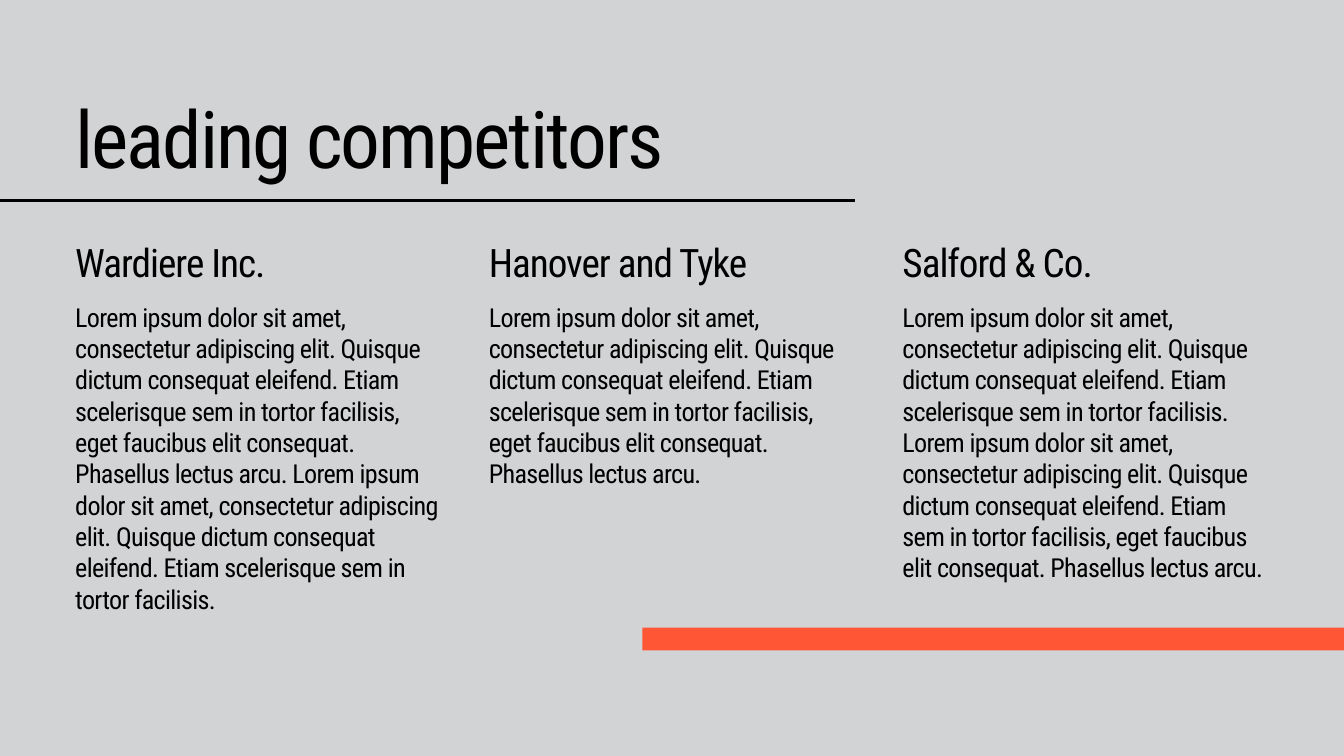
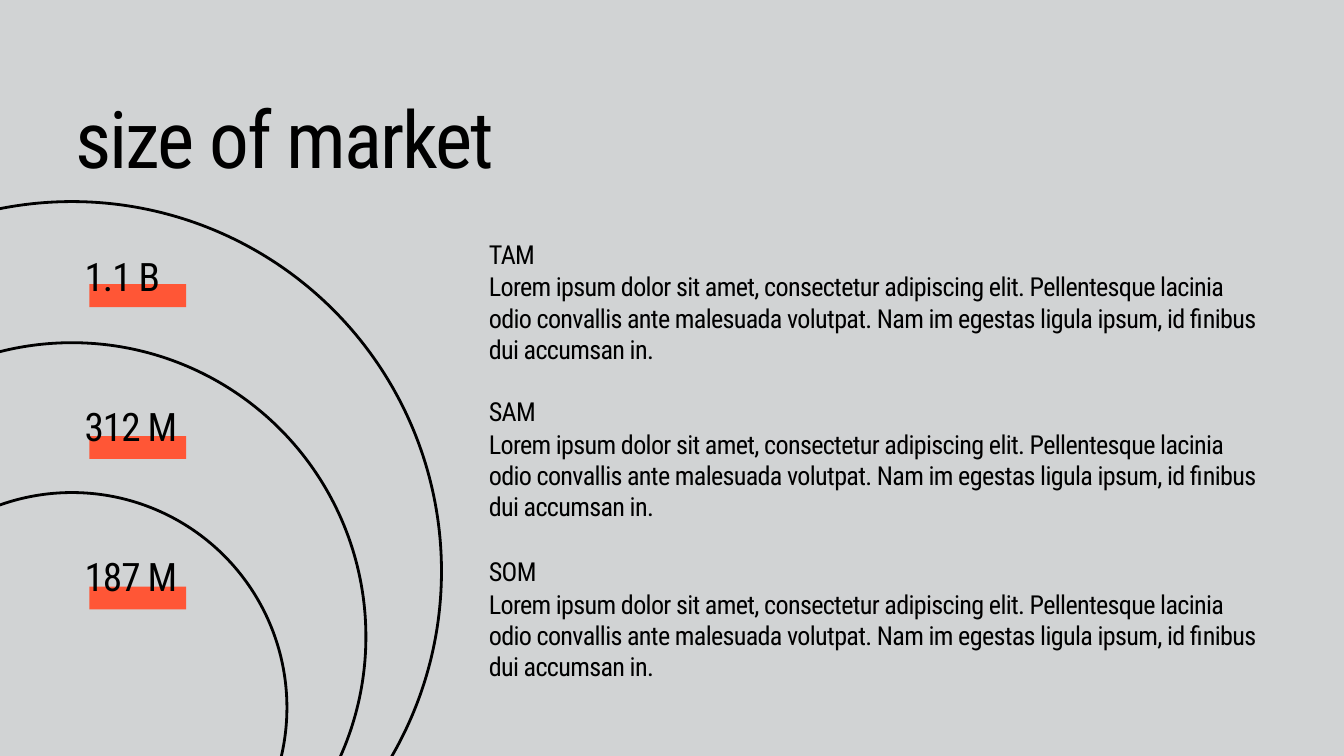
"""Build two slides on competitors and market size."""
from lxml import etree
from pptx import Presentation
from pptx.dml.color import RGBColor
from pptx.enum.shapes import MSO_CONNECTOR as Connector, MSO_SHAPE as Shape
from pptx.enum.text import MSO_ANCHOR as Anchor, MSO_AUTO_SIZE as AutoSize, PP_ALIGN as Align
from pptx.oxml.ns import qn
from pptx.util import Inches, Pt

COLORS = {"background": "D1D3D4", "ink": "000000", "accent": "FF5636"}
FONT = "Roboto Condensed"

# Size, line spacing and letter spacing, in points
STYLES = {
    "title": (85, 85, -2.1),
    "heading": (42, 50.4, -1.1),
    "figure": (42, 42, -1.1),
    "body": (28, 33.6, -0.7),
}

INTRO = "Lorem ipsum dolor sit amet, consectetur adipiscing elit."
LOREM = f"{INTRO} Quisque dictum consequat eleifend. Etiam"
ENDING = "sem in tortor facilisis, eget faucibus elit consequat. Phasellus lectus arcu."
SHORT_ENDING = "scelerisque sem in tortor facilisis."

COMPETITORS = [
    ("Wardiere Inc.", f"{LOREM} scelerisque {ENDING} {LOREM} {SHORT_ENDING}", 3.67),
    ("Hanover and Tyke", f"{LOREM} scelerisque {ENDING}", 2.29),
    ("Salford & Co.", f"{LOREM} {SHORT_ENDING} {LOREM} {ENDING}", 3.67),
]

MARKET_TEXT = (
    f"{INTRO} Pellentesque lacinia odio convallis ante malesuada volutpat. "
    "Nam im egestas ligula ipsum, id finibus dui accumsan in."
)
# Name, figure, text top, figure top, marker top, ring top, ring diameter
MARKETS = [
    ("TAM", "1.1 B", 3.55, 3.87, 4.23, 3, 11),
    ("SAM", "312 M", 5.89, 6.1, 6.49, 5.1, 8.75),
    ("SOM", "187 M", 8.27, 8.34, 8.73, 7.33, 6.4),
]

MARGIN = 1.12
CONTENT_WIDTH = 17.75
COLUMN_WIDTH = 5.44
WIDE_WIDTH = 11.6
COLUMN_STEP = (CONTENT_WIDTH - COLUMN_WIDTH) / (len(COMPETITORS) - 1)
COLUMN_LEFTS = [MARGIN + index * COLUMN_STEP for index in range(len(COMPETITORS))]
RING_CENTER = 1.07
BAR_HEIGHT = 0.34
LINE_WIDTH = 3


def color(name):
    return RGBColor.from_string(COLORS[name])


def write(box, text, style):
    size, leading, tracking = STYLES[style]
    frame = box.text_frame
    frame.margin_left = frame.margin_top = frame.margin_right = frame.margin_bottom = 0
    frame.word_wrap = True
    frame.auto_size = AutoSize.SHAPE_TO_FIT_TEXT
    frame.vertical_anchor = Anchor.TOP
    para = frame.paragraphs[0]
    para.alignment = Align.LEFT
    para.line_spacing = Pt(leading)
    para.font.name = FONT
    para.font.size = Pt(size)
    para.font.color.rgb = color("ink")
    span = para.add_run()
    span.text = text
    span._r.get_or_add_rPr().set("spc", str(round(tracking * 100)))


def add_text(page, text, style, left, top, width, height):
    box = page.shapes.add_textbox(Inches(left), Inches(top), Inches(width), Inches(height))
    write(box, text, style)


def add_bar(page, left, top, width):
    bar = page.shapes.add_shape(
        Shape.RECTANGLE, Inches(left), Inches(top), Inches(width), Inches(BAR_HEIGHT))
    bar.shadow.inherit = False
    bar.fill.solid()
    bar.fill.fore_color.rgb = color("accent")
    bar.line.fill.background()


def add_ring(page, top, diameter):
    ring = page.shapes.add_shape(
        Shape.OVAL, Inches(RING_CENTER - diameter / 2), Inches(top),
        Inches(diameter), Inches(diameter))
    ring.shadow.inherit = False
    ring.fill.background()
    ring.line.color.rgb = color("ink")
    ring.line.width = Pt(LINE_WIDTH)


def add_rule(page, start, end, top):
    rule = page.shapes.add_connector(
        Connector.STRAIGHT, Inches(start), Inches(top), Inches(end), Inches(top))
    rule.line.color.rgb = color("ink")
    rule.line.width = Pt(LINE_WIDTH)
    etree.SubElement(rule._element.spPr, qn("a:effectLst"))


def add_page(deck, heading):
    page = deck.slides.add_slide(deck.slide_layouts[5])
    title = page.shapes.title
    title.left, title.top = Inches(MARGIN), Inches(1.56)
    title.width, title.height = Inches(WIDE_WIDTH), Inches(1.23)
    write(title, heading, "title")
    return page


def add_competitors(deck):
    page = add_page(deck, "leading competitors")
    add_rule(page, -0.36, MARGIN + WIDE_WIDTH, 2.98)
    for left, (name, text, height) in zip(COLUMN_LEFTS, COMPETITORS):
        add_text(page, name, "heading", left, 3.55, COLUMN_WIDTH, 0.7)
        add_text(page, text, "body", left, 4.48, COLUMN_WIDTH, height)
    add_bar(page, 9.56, 9.34, 10.52)


def add_market(deck):
    page = add_page(deck, "size of market")
    left = COLUMN_LEFTS[1]
    for name, figure, text_top, figure_top, marker_top, ring_top, diameter in MARKETS:
        add_bar(page, 1.33, marker_top, 1.44)
        add_ring(page, ring_top, diameter)
        add_text(page, figure, "figure", 1.26, figure_top, 3.01, 0.62)
        add_text(page, name, "body", left, text_top, 7.12, 0.46)
        add_text(page, MARKET_TEXT, "body", left, text_top + 0.48, WIDE_WIDTH, 0.92)


def main():
    deck = Presentation()
    deck.slide_width, deck.slide_height = Inches(20), Inches(11.25)
    backdrop = deck.slide_master.background.fill
    backdrop.solid()
    backdrop.fore_color.rgb = color("background")
    add_competitors(deck)
    add_market(deck)
    deck.save("out.pptx")


if __name__ == "__main__":
    main()
